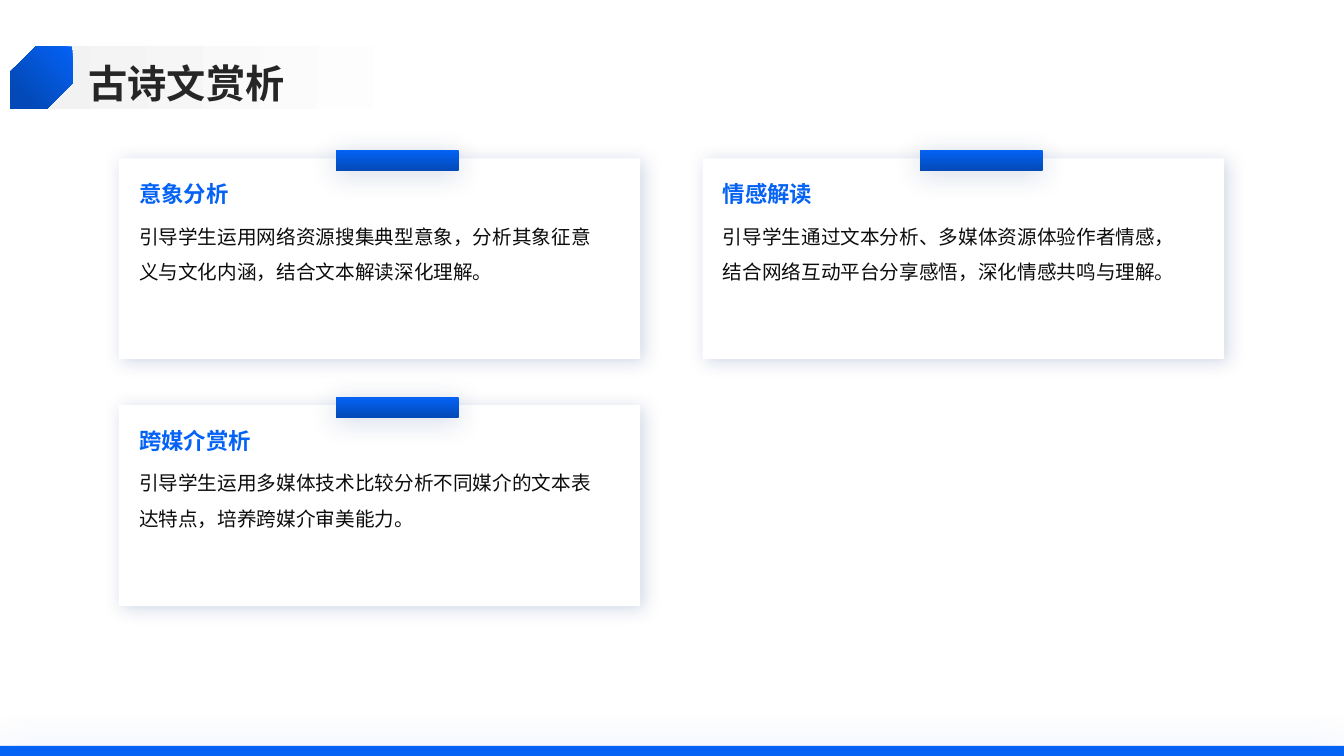
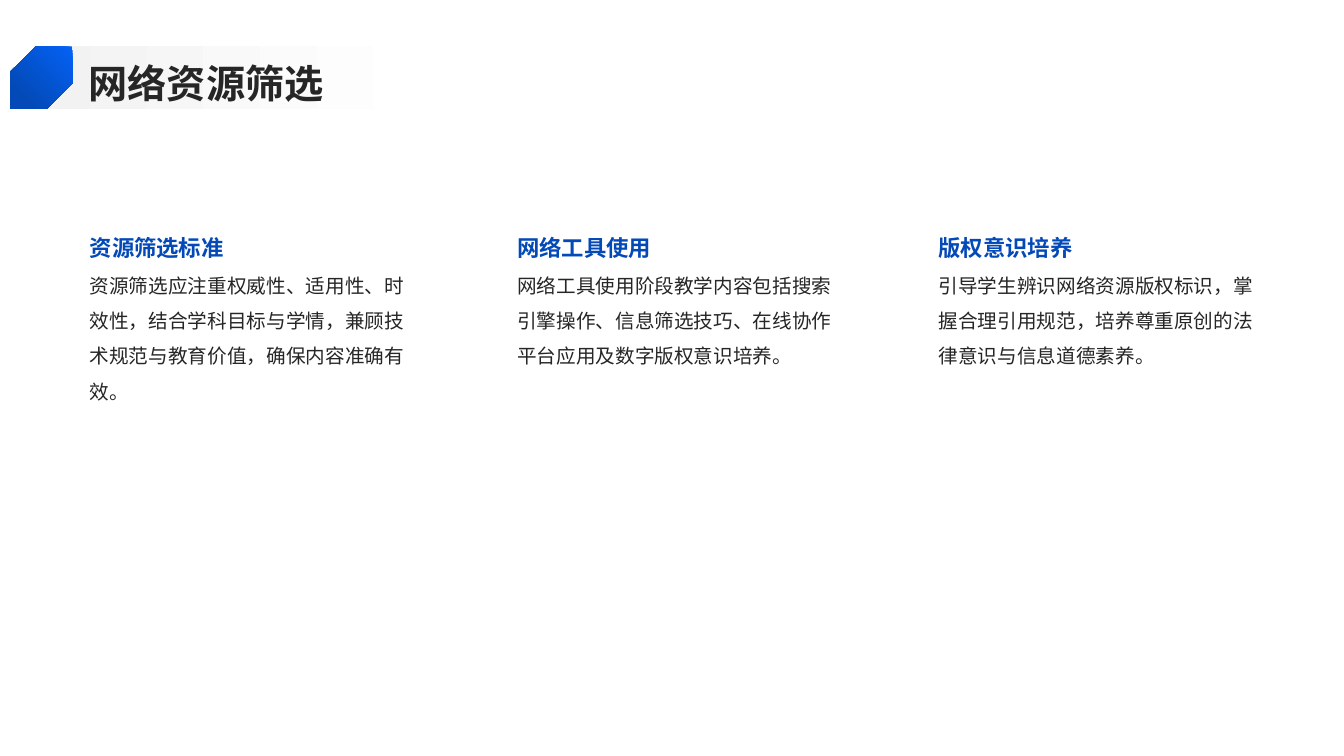
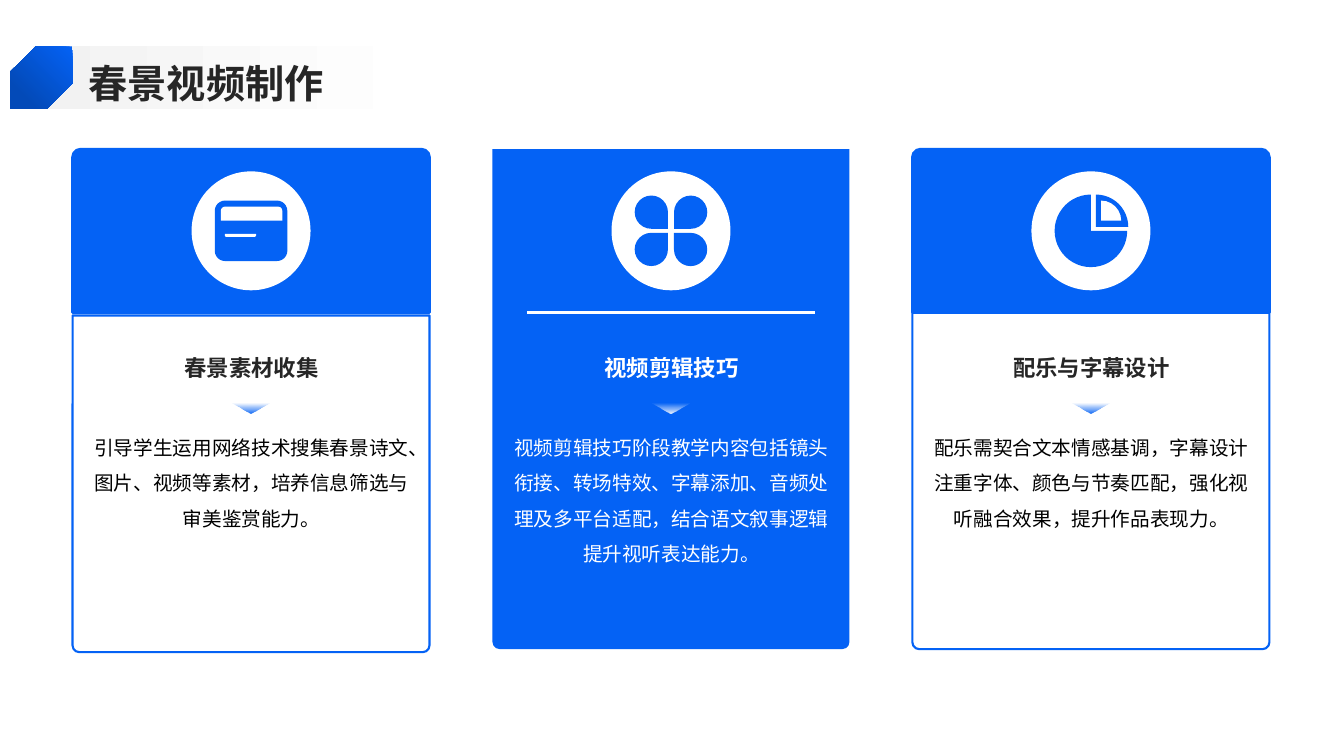
from dataclasses import dataclass
from typing import Callable, Optional, Union

import lxml.etree
import pptx
import pptx.dml.color
import pptx.enum.shapes
import pptx.enum.text
import pptx.oxml.ns
import pptx.shapes.autoshape
import pptx.slide
import pptx.text.text
import pptx.util

Inches = pptx.util.Inches
Pt = pptx.util.Pt
qn = pptx.oxml.ns.qn
Preset = pptx.enum.shapes.MSO_SHAPE
Align = pptx.enum.text.PP_ALIGN
Anchor = pptx.enum.text.MSO_ANCHOR
Slide = pptx.slide.Slide
Shape = pptx.shapes.autoshape.Shape

FONT = "Noto Sans CJK SC"
BLUE = "0462F5"
DEEP_BLUE = "034AB8"
HEADING_BLUE = "0349B8"
SHADOW_BLUE = "02317B"
WHITE = "FFFFFF"
PALE_GREY = "F2F2F2"
DARK = "262626"
NEAR_BLACK = "0D0D0D"
BLACK = "000000"


@dataclass(frozen=True)
class Gradient:
    start: str
    end: str
    end_position: float = 1.0
    angle: int = 0
    fades_out: bool = False


@dataclass(frozen=True)
class Shadow:
    color: str
    alpha: int
    blur: int
    distance: int
    angle: int


@dataclass(frozen=True)
class TextStyle:
    size: int
    color: str
    bold: bool = False
    spacing: float = 1.0
    align: Align = Align.LEFT
    anchor: Anchor = Anchor.TOP


@dataclass(frozen=True)
class Topic:
    heading: str
    body: str


@dataclass(frozen=True)
class Column:
    left: float
    topic: Topic


@dataclass(frozen=True)
class VideoCard:
    topic: Topic
    icon: Callable[[Slide, float, float], None]
    solid: bool = False


TITLE_STYLE = TextStyle(28, DARK, True, 1.1, anchor=Anchor.MIDDLE)
BADGE_FILL = Gradient(BLUE, DEEP_BLUE, 0.8, 45)
BAND_FILL = Gradient(PALE_GREY, WHITE, 0.8)
TAB_FILL = Gradient(BLUE, DEEP_BLUE, angle=90)
FOOTER_SHADOW = Shadow(BLUE, 20, 25, 0, 0)
CARD_SHADOW = Shadow(SHADOW_BLUE, 19, 13, 3, 45)
TAB_SHADOW = Shadow(SHADOW_BLUE, 19, 20, 3, 90)

POEM_TOPICS = [
    Topic("意象分析", "引导学生运用网络资源搜集典型意象，分析其象征意义与文化内涵，结合文本解读深化理解。"),
    Topic("情感解读", "引导学生通过文本分析、多媒体资源体验作者情感，结合网络互动平台分享感悟，深化情感共鸣与理解。"),
    Topic("跨媒介赏析", "引导学生运用多媒体技术比较分析不同媒介的文本表达特点，培养跨媒介审美能力。"),
]

RESOURCE_COLUMNS = [
    Column(0.89, Topic("资源筛选标准", "资源筛选应注重权威性、适用性、时效性，结合学科目标与学情，兼顾技术规范与教育价值，确保内容准确有效。")),
    Column(5.13, Topic("网络工具使用", "网络工具使用阶段教学内容包括搜索引擎操作、信息筛选技巧、在线协作平台应用及数字版权意识培养。")),
    Column(9.31, Topic("版权意识培养", "引导学生辨识网络资源版权标识，掌握合理引用规范，培养尊重原创的法律意识与信息道德素养。")),
]


def rgb(value: str) -> pptx.dml.color.RGBColor:
    return pptx.dml.color.RGBColor.from_string(value)


def apply_gradient(shape: Shape, gradient: Gradient) -> None:
    shape.fill.gradient()
    shape.fill.gradient_angle = -gradient.angle % 360
    first, last = shape.fill.gradient_stops
    first.color.rgb, first.position = rgb(gradient.start), 0
    last.color.rgb, last.position = rgb(gradient.end), gradient.end_position
    if gradient.fades_out:
        end_color = list(shape.element.spPr.iter(qn("a:srgbClr")))[-1]
        lxml.etree.SubElement(end_color, qn("a:alpha"), val="0")


def apply_shadow(shape: Shape, shadow: Shadow) -> None:
    effects = shape.element.spPr.find(qn("a:effectLst"))
    outer = lxml.etree.SubElement(
        effects, qn("a:outerShdw"), blurRad=str(Pt(shadow.blur)), dist=str(Pt(shadow.distance)),
        dir=str(shadow.angle * 60000), algn="ctr", rotWithShape="0")
    color = lxml.etree.SubElement(outer, qn("a:srgbClr"), val=shadow.color)
    lxml.etree.SubElement(color, qn("a:alpha"), val=str(shadow.alpha * 1000))


def draw(slide: Slide, preset: Preset, left: float, top: float, width: float, height: float,
         fill: Union[str, Gradient], shadow: Optional[Shadow] = None, outline: float = 0,
         adjust: tuple[float, ...] = (), flip: str = "", rotation: int = 0) -> Shape:
    shape = slide.shapes.add_shape(preset, Inches(left), Inches(top), Inches(width), Inches(height))
    shape.shadow.inherit = False
    if isinstance(fill, Gradient):
        apply_gradient(shape, fill)
    else:
        shape.fill.solid()
        shape.fill.fore_color.rgb = rgb(fill)
    if outline:
        shape.line.color.rgb = rgb(BLUE)
        shape.line.width = Pt(outline)
    else:
        shape.line.fill.background()
    if shadow:
        apply_shadow(shape, shadow)
    for index, value in enumerate(adjust):
        shape.adjustments[index] = value
    if flip:
        shape.element.spPr.xfrm.set(flip, "1")
    shape.rotation = rotation
    return shape


def write(frame: pptx.text.text.TextFrame, text: str, style: TextStyle) -> None:
    frame.word_wrap = True
    frame.auto_size = pptx.enum.text.MSO_AUTO_SIZE.NONE
    frame.margin_left = frame.margin_top = frame.margin_right = frame.margin_bottom = 0
    frame.vertical_anchor = style.anchor
    paragraph = frame.paragraphs[0]
    paragraph.text = text
    paragraph.alignment = style.align
    paragraph.line_spacing = style.spacing
    font = paragraph.font
    font.size, font.bold, font.name = Pt(style.size), style.bold, FONT
    font.color.rgb = rgb(style.color)
    latin = next(paragraph._p.iter(qn("a:latin")))
    latin.addnext(latin.makeelement(qn("a:ea"), {"typeface": FONT}))


def add_text(slide: Slide, left: float, top: float, width: float, height: float,
             text: str, style: TextStyle) -> None:
    box = slide.shapes.add_textbox(Inches(left), Inches(top), Inches(width), Inches(height))
    write(box.text_frame, text, style)


def add_titled_slide(deck, heading: str) -> Slide:
    slide = deck.slides.add_slide(deck.slide_layouts[5])
    title = slide.shapes.title
    draw(slide, Preset.RECTANGLE, 0.33, 0.46, 4.92, 0.62, BAND_FILL)
    slide.shapes.element.append(title.element)
    title.left, title.top = Inches(0.88), Inches(0.54)
    title.width, title.height = Inches(11.88), Inches(0.51)
    write(title.text_frame, heading, TITLE_STYLE)
    draw(slide, Preset.SNIP_2_DIAG_RECTANGLE, 0.1, 0.46, 0.62, 0.62, BADGE_FILL,
         adjust=(0, 0.41), flip="flipH")
    return slide


def draw_poem_card(slide: Slide, left: float, top: float, topic: Topic) -> None:
    draw(slide, Preset.RECTANGLE, left, top, 5.17, 1.99, WHITE, CARD_SHADOW)
    draw(slide, Preset.RECTANGLE, left + 2.15, top - 0.08, 1.22, 0.2, TAB_FILL, TAB_SHADOW)
    add_text(slide, left + 0.2, top + 0.22, 4.56, 0.36, topic.heading, TextStyle(16, BLUE, True))
    add_text(slide, left + 0.2, top + 0.54, 4.56, 1.32, topic.body,
             TextStyle(14, NEAR_BLACK, spacing=1.5))


def draw_resource_column(slide: Slide, column: Column) -> None:
    add_text(slide, column.left, 2.25, 3.26, 0.39, column.topic.heading,
             TextStyle(16, HEADING_BLUE, True, 1.1, anchor=Anchor.MIDDLE))
    add_text(slide, column.left, 2.6, 3.26, 3.75, column.topic.body,
             TextStyle(14, DARK, spacing=1.5))


def draw_window_icon(slide: Slide, x: float, y: float) -> None:
    draw(slide, Preset.ROUNDED_RECTANGLE, x - 0.36, y - 0.3, 0.72, 0.6, BLUE, adjust=(0.17,))
    draw(slide, Preset.ROUND_2_SAME_RECTANGLE, x - 0.3, y - 0.24, 0.61, 0.14, WHITE,
         adjust=(0.29, 0))
    draw(slide, Preset.ROUND_2_SAME_RECTANGLE, x - 0.26, y + 0.03, 0.31, 0.03, WHITE,
         adjust=(0, 0.5))


def draw_clover_icon(slide: Slide, x: float, y: float) -> None:
    for dx, dy, rotation in ((-0.36, -0.35, 90), (0.03, -0.35, 180),
                             (-0.36, 0.02, 0), (0.03, 0.02, 270)):
        draw(slide, Preset.TEAR, x + dx, y + dy, 0.33, 0.33, BLUE, rotation=rotation)


def draw_pie_icon(slide: Slide, x: float, y: float) -> None:
    draw(slide, Preset.PIE, x - 0.36, y - 0.36, 0.72, 0.72, BLUE)
    draw(slide, Preset.PIE_WEDGE, x + 0.05, y - 0.36, 0.32, 0.32, BLUE, rotation=90)
    draw(slide, Preset.PIE_WEDGE, x + 0.1, y - 0.3, 0.2, 0.2, WHITE, rotation=90)


VIDEO_CARDS = [
    VideoCard(Topic("春景素材收集", "引导学生运用网络技术搜集春景诗文、图片、视频等素材，培养信息筛选与审美鉴赏能力。"),
              draw_window_icon),
    VideoCard(Topic("视频剪辑技巧", "视频剪辑技巧阶段教学内容包括镜头衔接、转场特效、字幕添加、音频处理及多平台适配，结合语文叙事逻辑提升视听表达能力。"),
              draw_clover_icon, solid=True),
    VideoCard(Topic("配乐与字幕设计", "配乐需契合文本情感基调，字幕设计注重字体、颜色与节奏匹配，强化视听融合效果，提升作品表现力。"),
              draw_pie_icon),
]


def draw_divider(slide: Slide, left: float, right: float, y: float) -> None:
    divider = slide.shapes.add_connector(pptx.enum.shapes.MSO_CONNECTOR.STRAIGHT,
                                         Inches(left), Inches(y), Inches(right), Inches(y))
    divider.line.color.rgb = rgb(WHITE)
    divider.line.width = Pt(1.5)
    lxml.etree.SubElement(divider._element.spPr, qn("a:effectLst"))


def draw_video_card(slide: Slide, left: float, card: VideoCard, panel_top: float) -> None:
    width, icon_y = 3.54, 2.29
    center = left + width / 2
    if card.solid:
        draw(slide, Preset.ROUND_2_SAME_RECTANGLE, left, 1.48, width, 4.96, BLUE, adjust=(0, 0.02))
        draw_divider(slide, center - 1.43, center + 1.43, 3.1)
    else:
        draw(slide, Preset.ROUND_2_SAME_RECTANGLE, left, panel_top, width, 3.34, WHITE,
             outline=1.5, adjust=(0, 0.02))
        draw(slide, Preset.ROUND_2_SAME_RECTANGLE, left, 1.48, width, 1.62, BLUE,
             outline=2, adjust=(0.05, 0))
    heading_color, body_color, pointer_color = (
        (WHITE, WHITE, WHITE) if card.solid else (DARK, BLACK, BLUE))
    add_text(slide, left + 0.2, 3.34, 3.15, 0.54, card.topic.heading,
             TextStyle(16, heading_color, True, 1.3, Align.CENTER, Anchor.MIDDLE))
    add_text(slide, left + 0.2, 4.21, 3.15, 2.1, card.topic.body,
             TextStyle(14, body_color, False, 1.5, Align.CENTER))
    draw(slide, Preset.ISOSCELES_TRIANGLE, center - 0.18, 4, 0.36, 0.1,
         Gradient(pointer_color, pointer_color, angle=90, fades_out=True), flip="flipV")
    draw(slide, Preset.OVAL, center - 0.59, icon_y - 0.59, 1.18, 1.18, WHITE)
    card.icon(slide, center, icon_y)


def main() -> None:
    deck = pptx.Presentation()
    deck.slide_width, deck.slide_height = Inches(13.33), Inches(7.5)

    poem_slide = add_titled_slide(deck, "古诗文赏析")
    draw(poem_slide, Preset.RECTANGLE, 0, 7.4, 13.33, 0.1, BLUE, FOOTER_SHADOW)
    for index, topic in enumerate(POEM_TOPICS):
        row, column = divmod(index, 2)
        draw_poem_card(poem_slide, 1.18 + 5.79 * column, 1.57 + 2.45 * row, topic)

    resource_slide = add_titled_slide(deck, "网络资源筛选")
    for resource_column in RESOURCE_COLUMNS:
        draw_resource_column(resource_slide, resource_column)

    video_slide = add_titled_slide(deck, "春景视频制作")
    for index, card in enumerate(VIDEO_CARDS):
        draw_video_card(video_slide, 0.72 + 8.33 / 2 * index, card, 3.1 if index else 3.13)

    deck.save("out.pptx")


if __name__ == "__main__":
    main()
